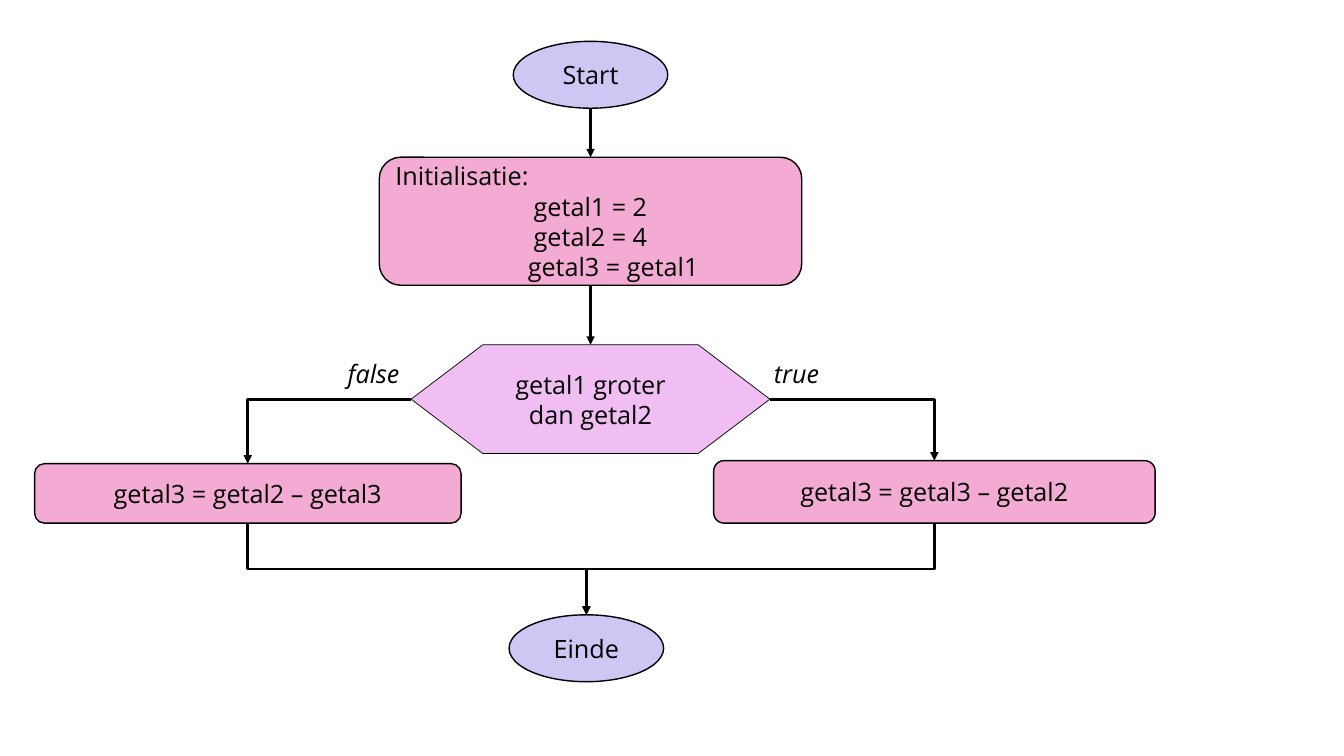
from dataclasses import dataclass

from lxml.etree import SubElement
from pptx import Presentation
from pptx.dml.color import RGBColor
from pptx.enum.shapes import MSO_CONNECTOR as Link, MSO_SHAPE as Preset
from pptx.enum.text import MSO_ANCHOR as Anchor, PP_ALIGN as Align
from pptx.oxml.ns import qn
from pptx.util import Inches, Pt

BLACK, LILAC, PINK, ORCHID = "000000", "D0C6F3", "F4ABD3", "F1BEF4"
TOP, LEFT, BOTTOM, RIGHT = range(4)
AXIS = 43.94  # centre of the main column, in percent of the slide's width

deck = Presentation()
deck.slide_width, deck.slide_height = Inches(13.33), Inches(7.5)
page = deck.slides.add_slide(deck.slide_layouts[6])


@dataclass
class Line:
    text: str
    align: Align = Align.CENTER
    indent: float = 0  # inches


@dataclass
class Node:
    """A flowchart step; centre, top, width and height are percent of the slide."""
    preset: Preset
    fill: str
    centre: float
    top: float
    width: float
    height: float
    lines: list[Line]
    outline: float = 1


@dataclass
class Label:
    text: str
    left: float
    width: float


def across(percent: float) -> int:
    return round(deck.slide_width * percent / 100)


def down(percent: float) -> int:
    return round(deck.slide_height * percent / 100)


def colour(value: str) -> RGBColor:
    return RGBColor.from_string(value)


def style(para, italic: bool = False) -> None:
    para.font.name, para.font.size = "Open Sans", Pt(18)
    para.font.italic = italic or None
    para.font.color.rgb = colour(BLACK)


def draw_node(node: Node):
    shape = page.shapes.add_shape(
        node.preset, across(node.centre - node.width / 2), down(node.top),
        across(node.width), down(node.height))
    shape.shadow.inherit = False
    shape.fill.solid()
    shape.fill.fore_color.rgb = colour(node.fill)
    shape.line.color.rgb = colour(BLACK)
    shape.line.width = Pt(node.outline)
    frame = shape.text_frame
    frame.word_wrap, frame.vertical_anchor = True, Anchor.MIDDLE
    for index, line in enumerate(node.lines):
        para = frame.add_paragraph() if index else frame.paragraphs[0]
        para.text, para.alignment = line.text, line.align
        if line.indent:
            para._p.get_or_add_pPr().set("marL", str(Inches(line.indent)))
        style(para)
    return shape


def draw_label(label: Label) -> None:
    box = page.shapes.add_textbox(
        across(label.left), down(46.8), across(label.width), down(5.33))
    box.text_frame.word_wrap = False
    para = box.text_frame.paragraphs[0]
    para.text = label.text
    style(para, italic=True)


def side(shape, site: int) -> tuple[int, int]:
    """Return the middle of one side of a shape."""
    share_x, share_y = {TOP: (0.5, 0), LEFT: (0, 0.5),
                        BOTTOM: (0.5, 1), RIGHT: (1, 0.5)}[site]
    return (round(shape.left + shape.width * share_x),
            round(shape.top + shape.height * share_y))


def draw_arrow(kind: Link, source, site: int, target):
    """Draw an arrow from one side of source to the top of target."""
    arrow = page.shapes.add_connector(
        kind, *side(source, site), *side(target, TOP))
    arrow.line.color.rgb = colour(BLACK)
    arrow.line.width = Pt(2)
    SubElement(arrow.line._get_or_add_ln(), qn("a:tailEnd"), type="triangle")
    SubElement(arrow._element.spPr, qn("a:effectLst"))
    return arrow


def draw_branch(source, site: int, target) -> None:
    """Draw an arrow that goes sideways, then down."""
    arrow = draw_arrow(Link.ELBOW, source, site, target)
    arrow._element.spPr.find(qn("a:prstGeom")).set("prst", "bentConnector2")


def draw_merge(source, target) -> None:
    """Draw an arrow that goes down, sideways and down again."""
    arrow = draw_arrow(Link.ELBOW, source, BOTTOM, target)
    goes_right = arrow.end_x > arrow.begin_x
    left, top, width, height = arrow.left, arrow.top, arrow.width, arrow.height
    arrow.left = left + (width - height) // 2
    arrow.top = top + (height - width) // 2
    arrow.width, arrow.height = height, width
    frame = arrow._element.spPr.find(qn("a:xfrm"))
    frame.set("rot", str((270 if goes_right else 90) * 60000))
    frame.set("flipH", "1" if goes_right else "0")


start = draw_node(Node(Preset.OVAL, LILAC, AXIS, 5.47, 11.5, 8.85, [Line("Start")]))
setup = draw_node(Node(
    Preset.ROUNDED_RECTANGLE, PINK, AXIS, 20.8, 31.43, 16.93,
    [Line("Initialisatie:", Align.LEFT), Line("getal1 = 2"),
     Line("getal2 = 4"), Line("getal3 = getal1", indent=0.45)]))
test = draw_node(Node(Preset.FLOWCHART_PREPARATION, ORCHID, AXIS, 45.6, 26.7, 14.4,
                      [Line("getal1 groter dan getal2")], outline=0.5))
if_false = draw_node(Node(Preset.ROUNDED_RECTANGLE, PINK, 18.44, 61.33, 31.73, 7.87,
                          [Line("getal3 = getal2 – getal3")]))
if_true = draw_node(Node(Preset.ROUNDED_RECTANGLE, PINK, 69.53, 60.93, 32.85, 8.27,
                         [Line("getal3 = getal3 – getal2")]))
end = draw_node(Node(Preset.OVAL, LILAC, 43.63, 81.33, 11.5, 8.85, [Line("Einde")]))

for label in (Label("false", 25.13, 5.85), Label("true", 56.85, 5.25)):
    draw_label(label)

draw_arrow(Link.STRAIGHT, start, BOTTOM, setup).end_connect(setup, TOP)
setup_to_test = draw_arrow(Link.STRAIGHT, setup, BOTTOM, test)
setup_to_test.begin_connect(setup, BOTTOM)
setup_to_test.end_connect(test, TOP)
for exit_site, outcome in ((LEFT, if_false), (RIGHT, if_true)):
    draw_branch(test, exit_site, outcome)
    draw_merge(outcome, end)

deck.save("out.pptx")
